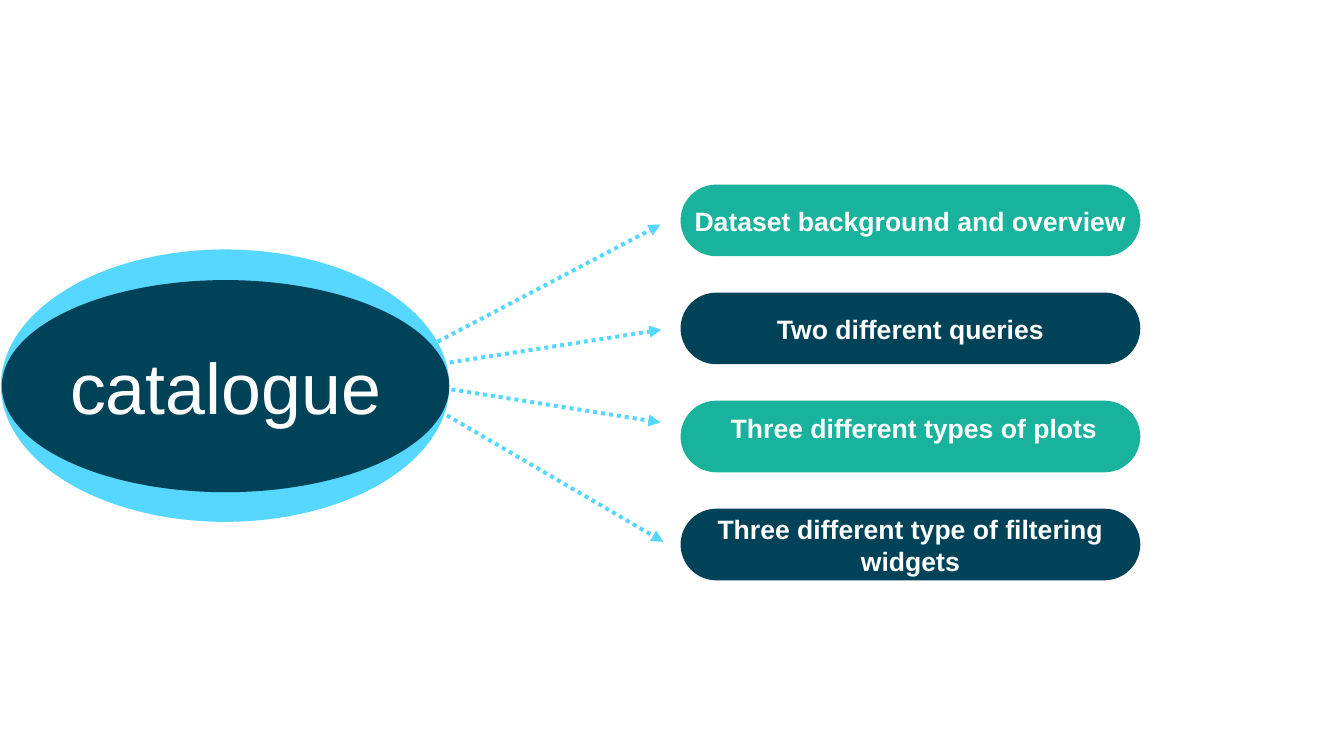
from lxml.etree import SubElement
from pptx import Presentation
from pptx.dml.color import RGBColor
from pptx.enum.dml import MSO_LINE
from pptx.enum.shapes import MSO_CONNECTOR, MSO_SHAPE
from pptx.enum.text import MSO_ANCHOR, PP_ALIGN
from pptx.oxml.ns import qn
from pptx.util import Pt

NAVY = RGBColor(0x00, 0x43, 0x58)
TEAL = RGBColor(0x18, 0xB2, 0x9D)
SKY = RGBColor(0x56, 0xD7, 0xFF)
WHITE = RGBColor(0xFF, 0xFF, 0xFF)

PILL_LEFT, PILL_TOP, PILL_WIDTH, PILL_HEIGHT = 512.6, 139, 346.3, 54
PILL_PITCH = 81.4

# label, fill, left and bottom text insets
TOPICS = [
    ("Dataset background and overview", TEAL, 0, 0),
    ("Two different queries", NAVY, 0, 0),
    ("Three different types of plots", TEAL, 5.5, 13),
    ("Three different type of filtering widgets", NAVY, 0, 0),
]
ARROWS = [
    ((303.1, 271.4), (497.5, 169.2)),
    ((303.1, 278.6), (498.2, 248.4)),
    ((310.3, 288.7), (497.5, 318.2)),
    ((321.1, 303.8), (499.7, 408.2)),
]


class Diagram:
    font_name = "Arial"
    text_color = WHITE
    arrow_color = SKY
    arrow_width = 3

    def __init__(self, slide):
        self.slide = slide

    def block(self, kind, left, top, width, height, color):
        """Add a filled shape without outline or shadow."""
        shape = self.slide.shapes.add_shape(
            kind, Pt(left), Pt(top), Pt(width), Pt(height))
        shape.shadow.inherit = False
        shape.fill.solid()
        shape.fill.fore_color.rgb = color
        shape.line.fill.background()
        return shape

    def label(self, shape, text, size, bold=False, left_inset=0, bottom_inset=0):
        frame = shape.text_frame
        frame.word_wrap = True
        frame.vertical_anchor = MSO_ANCHOR.MIDDLE
        frame.margin_top = frame.margin_right = 0
        frame.margin_left = Pt(left_inset)
        frame.margin_bottom = Pt(bottom_inset)
        paragraph = frame.paragraphs[0]
        paragraph.text = text
        paragraph.alignment = PP_ALIGN.CENTER
        paragraph.font.name = self.font_name
        paragraph.font.size = Pt(size)
        paragraph.font.bold = bold
        paragraph.font.color.rgb = self.text_color

    def ellipse(self, left, top, width, height, color):
        return self.block(MSO_SHAPE.OVAL, left, top, width, height, color)

    def pill(self, left, top, width, height, color):
        shape = self.block(
            MSO_SHAPE.ROUNDED_RECTANGLE, left, top, width, height, color)
        shape.adjustments[0] = 0.5
        return shape

    def arrow(self, start, end):
        connector = self.slide.shapes.add_connector(
            MSO_CONNECTOR.STRAIGHT, *map(Pt, start + end))
        connector.line.color.rgb = self.arrow_color
        connector.line.width = Pt(self.arrow_width)
        connector.line.dash_style = MSO_LINE.ROUND_DOT
        properties = connector.element.spPr
        SubElement(properties.find(qn("a:ln")), qn("a:tailEnd"), type="triangle")
        SubElement(properties, qn("a:effectLst"))


def main():
    presentation = Presentation()
    presentation.slide_width = Pt(1012.3)
    presentation.slide_height = Pt(569.5)
    slide = presentation.slides.add_slide(presentation.slide_layouts[6])
    diagram = Diagram(slide)

    for start, end in ARROWS:
        diagram.arrow(start, end)

    for row, (text, color, left_inset, bottom_inset) in enumerate(TOPICS):
        pill = diagram.pill(
            PILL_LEFT, PILL_TOP + row * PILL_PITCH, PILL_WIDTH, PILL_HEIGHT, color)
        diagram.label(pill, text, 20, True, left_inset, bottom_inset)

    diagram.ellipse(0.7, 187.9, 337.7, 205.2, SKY)
    hub = diagram.ellipse(1.4, 211, 337, 159.8, NAVY)
    diagram.label(hub, "catalogue", 54)

    presentation.save("out.pptx")


if __name__ == "__main__":
    main()
